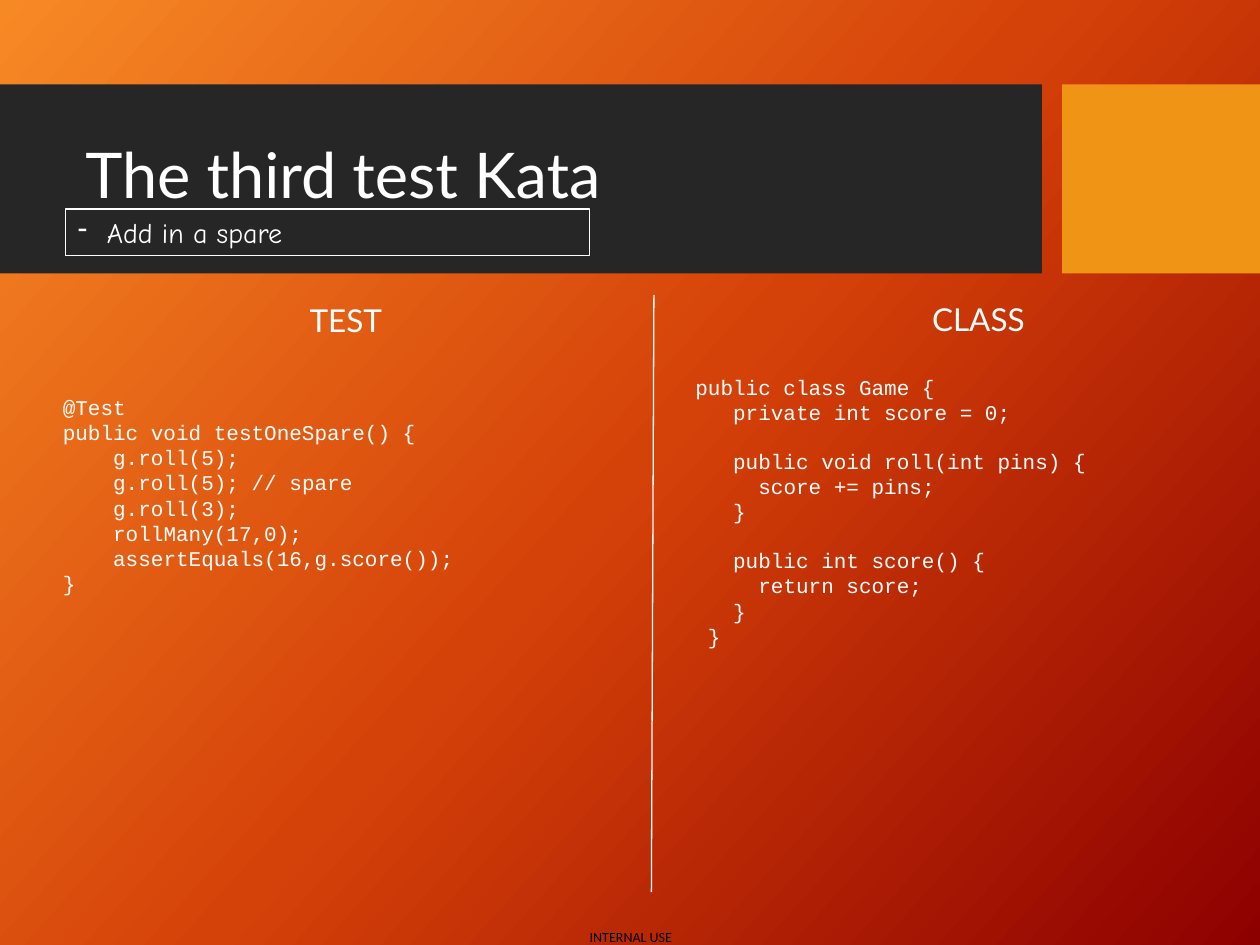
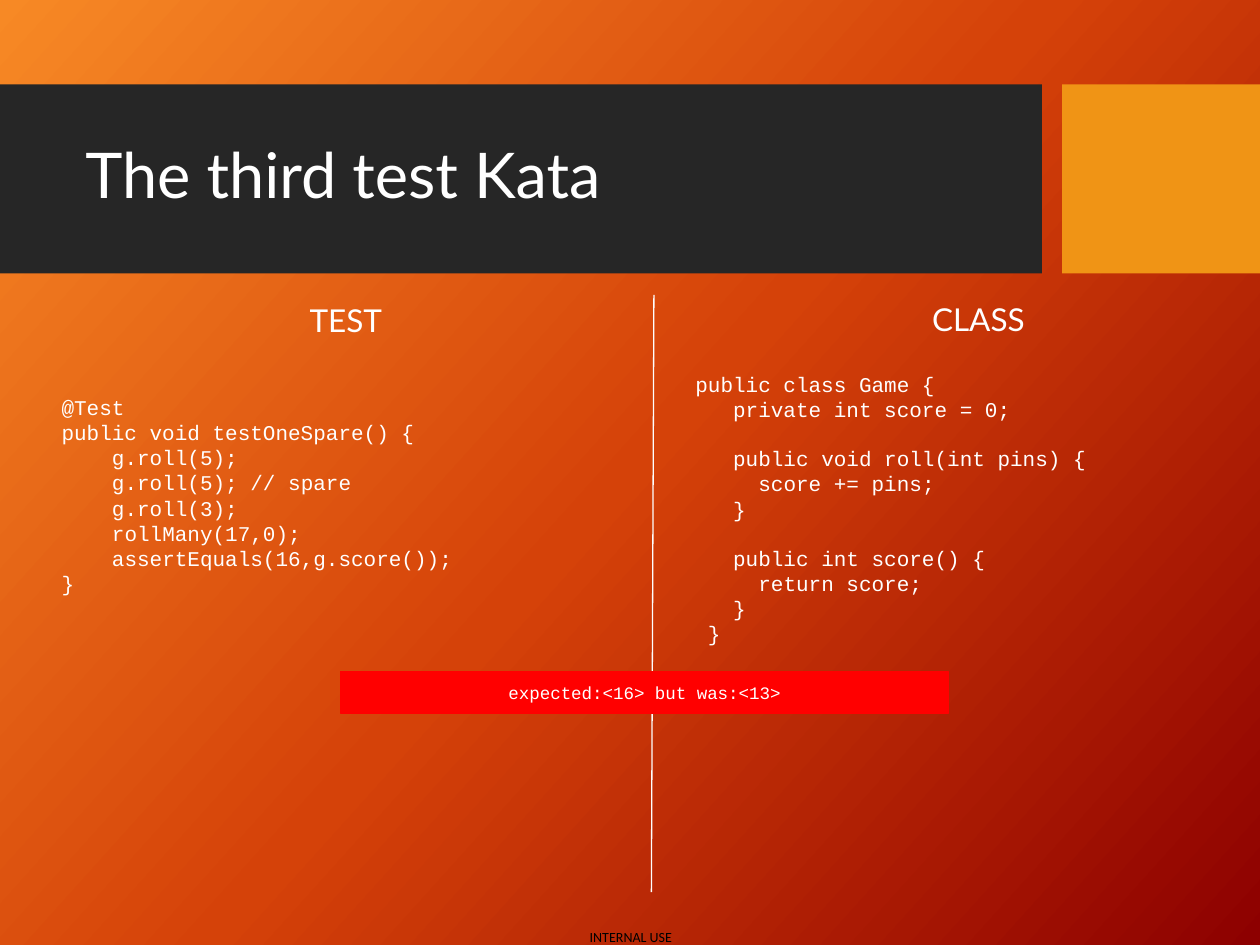
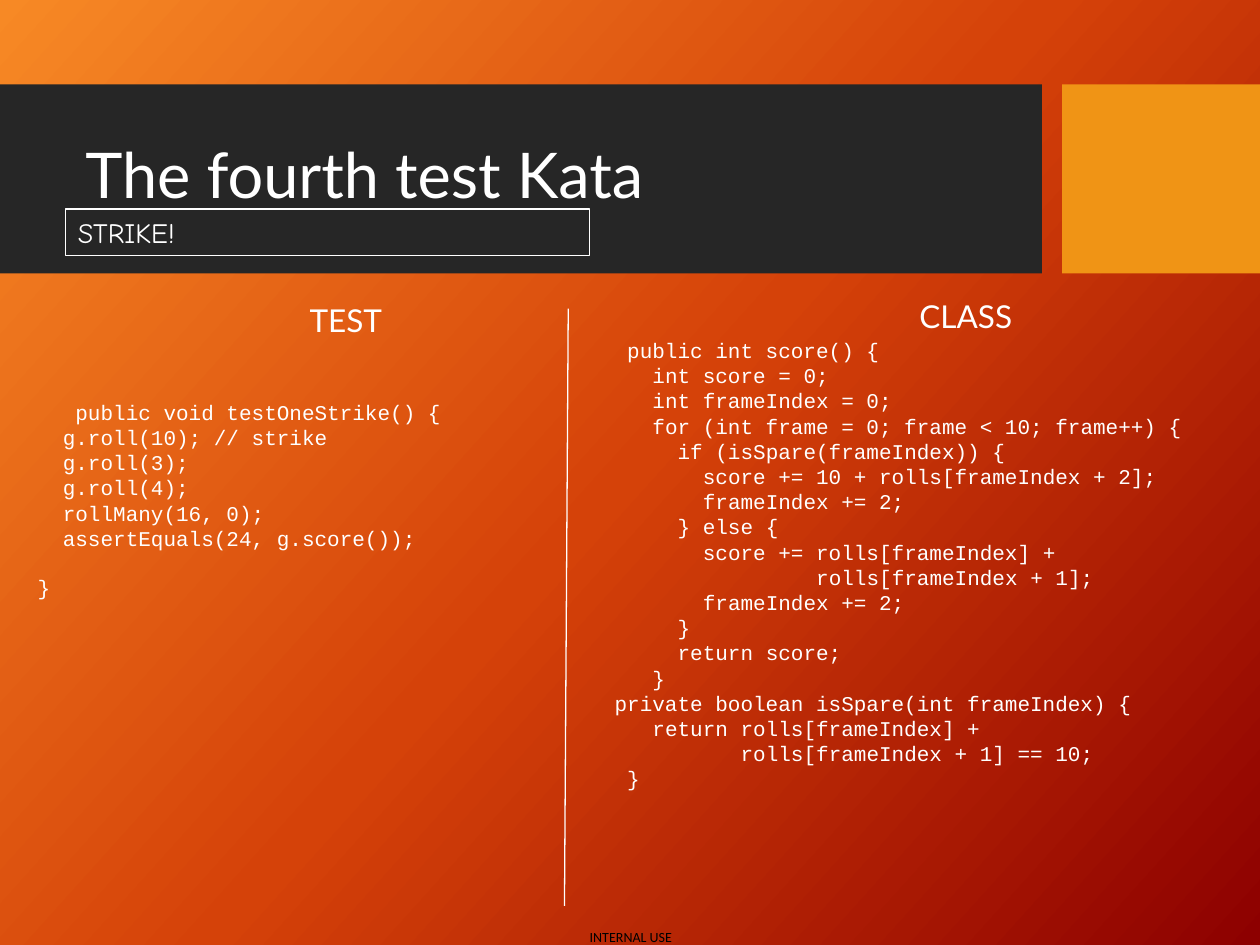
from copy import deepcopy
from dataclasses import dataclass

from lxml.etree import SubElement
from pptx import Presentation
from pptx.dml.color import RGBColor
from pptx.enum.shapes import MSO_CONNECTOR, MSO_SHAPE
from pptx.enum.text import MSO_ANCHOR, MSO_AUTO_SIZE, PP_ALIGN
from pptx.oxml.ns import qn
from pptx.util import Inches, Pt


@dataclass(frozen=True)
class Theme:
    """Colours, fonts and type sizes of the deck."""
    white: str = "FFFFFF"
    black: str = "000000"
    band: str = "262626"
    accent: str = "F09415"
    failure: str = "FF0000"
    gradient: tuple = ((0, "F78925"), (0.5, "D54209"), (1, "8D0000"))
    gradient_angle: float = 42
    heading_font: str = "Lato"
    code_font: str = "Courier New"
    note_font: str = "Comic Neue"
    footer_font: str = "Calibri"
    title_size: float = 36
    heading_size: float = 18
    note_size: float = 16
    code_size: float = 12
    failure_size: float = 10
    footer_size: float = 8
    code_line: float = 13.6  # height of one code line, in points
    code_column: float = 0.1  # width of one code character, in inches
    rule: float = 0.75


@dataclass(frozen=True)
class Box:
    """A rectangle in inches."""
    left: float
    top: float
    width: float
    height: float

    def inner(self, left, top, width, height):
        """Return a box placed relative to this one."""
        return Box(self.left + left, self.top + top, width, height)

    def lengths(self):
        """Return left, top, width and height as lengths."""
        return [Inches(v) for v in (self.left, self.top, self.width, self.height)]


THEME = Theme()
SLIDE = Box(0, 0, 10, 7.5)
HEADER = Box(0, 0.67, 10, 1.5)
FOOTER = Box(4.68, 7.37, 0.67, 0.13)
HEADING_WIDTH, HEADING_HEIGHT = 2.33, 0.4

SPARE_TEST = """\
    @Test
    public void testOneSpare() {
        g.roll(5);
        g.roll(5); // spare
        g.roll(3);
        rollMany(17,0);
        assertEquals(16,g.score());
    }"""

GAME_CLASS = """\
 public class Game {
    private int score = 0;

    public void roll(int pins) {
      score += pins;
    }

    public int score() {
      return score;
    }
  }"""

STRIKE_TEST = """\
     public void testOneStrike() {
    g.roll(10); // strike
    g.roll(3);
    g.roll(4);
    rollMany(16, 0);
    assertEquals(24, g.score());

  }"""

SCORE_METHODS = """\
  public int score() {
    int score = 0;
    int frameIndex = 0;
    for (int frame = 0; frame < 10; frame++) {
      if (isSpare(frameIndex)) {
        score += 10 + rolls[frameIndex + 2];
        frameIndex += 2;
      } else {
        score += rolls[frameIndex] +
                 rolls[frameIndex + 1];
        frameIndex += 2;
      }
      return score;
    }
 private boolean isSpare(int frameIndex) {
    return rolls[frameIndex] +
           rolls[frameIndex + 1] == 10;
  }"""


def colour(code):
    """Turn a hex code into a colour."""
    return RGBColor.from_string(code)


def write(para, text, *, font, size, color=THEME.white, align=PP_ALIGN.LEFT,
          spacing=None, before=0, indent=0, bullet=None):
    """Write formatted text into a paragraph; indent is in inches."""
    para.alignment = align
    para.line_spacing = spacing
    para.space_before = Pt(before)
    properties = para._p.get_or_add_pPr()
    if indent:
        properties.set("marL", str(Inches(indent)))
    if bullet:
        properties.set("indent", str(-Inches(indent)))
        SubElement(properties, qn("a:buChar")).set("char", bullet)
    span = para.add_run()
    span.text = text
    span.font.name = font
    span.font.size = Pt(size)
    span.font.color.rgb = colour(color)


def prepare_frame(shape, anchor=MSO_ANCHOR.TOP, grow=False):
    """Set wrapping, anchor and fit of a shape's text and return its frame."""
    frame = shape.text_frame
    frame.word_wrap = True
    frame.vertical_anchor = anchor
    frame.auto_size = MSO_AUTO_SIZE.SHAPE_TO_FIT_TEXT if grow else MSO_AUTO_SIZE.NONE
    return frame


def add_text(page, box, text, *, anchor=MSO_ANCHOR.TOP, grow=True, **style):
    """Add a text box holding one paragraph and return its frame."""
    frame = prepare_frame(page.shapes.add_textbox(*box.lengths()), anchor, grow)
    write(frame.paragraphs[0], text, **style)
    return frame


def add_panel(page, box, fill=None, line=None):
    """Add a plain rectangle with an optional fill and outline."""
    panel = page.shapes.add_shape(MSO_SHAPE.RECTANGLE, *box.lengths())
    panel.shadow.inherit = False
    if fill:
        panel.fill.solid()
        panel.fill.fore_color.rgb = colour(fill)
    else:
        panel.fill.background()
    if line:
        panel.line.color.rgb = colour(line)
        panel.line.width = Pt(THEME.rule)
    else:
        panel.line.fill.background()
    return panel


def set_background(master):
    """Give the master the diagonal three-colour gradient."""
    fill = master.background.fill
    fill.gradient()
    fill.gradient_angle = 360 - THEME.gradient_angle
    stops = master.element.find(".//" + qn("a:gsLst"))
    stops.insert(1, deepcopy(stops[0]))
    for stop, (position, code) in zip(fill.gradient_stops, THEME.gradient):
        stop.position = position
        stop.color.rgb = colour(code)


def add_header(page, box, title):
    """Draw the dark band, the accent block and the title."""
    band_width, gap = 8.27, 0.16
    accent_left = band_width + gap
    add_panel(page, box.inner(0, 0, band_width, box.height), THEME.band)
    add_panel(page, box.inner(accent_left, 0, box.width - accent_left, box.height),
              THEME.accent)
    add_text(page, box.inner(0.58, 0.15, 7.54, 1.18), title, anchor=MSO_ANCHOR.MIDDLE,
             grow=False, font=THEME.heading_font, size=THEME.title_size, spacing=0.9)


def add_note(page, box, text, **style):
    """Draw the outlined note under the title of the header box."""
    panel = add_panel(page, box.inner(0.52, 0.99, 4.16, 0.37), line=THEME.white)
    write(prepare_frame(panel, grow=True).paragraphs[0], text,
          font=THEME.note_font, size=THEME.note_size, **style)


def add_footer(page, box):
    """Write the classification line at the foot."""
    frame = add_text(page, box, "INTERNAL USE", font=THEME.footer_font,
                     size=THEME.footer_size, color=THEME.black)
    frame.word_wrap = False
    frame.margin_left = frame.margin_right = frame.margin_top = frame.margin_bottom = 0


def add_heading(page, left, top, text):
    """Write a centred column heading."""
    add_text(page, Box(left, top, HEADING_WIDTH, HEADING_HEIGHT), text,
             font=THEME.heading_font, size=THEME.heading_size, align=PP_ALIGN.CENTER)


def add_code(page, box, source):
    """Write code, turning leading spaces into indents and blank lines into gaps."""
    frame = prepare_frame(page.shapes.add_textbox(*box.lengths()), grow=True)
    para, gap = frame.paragraphs[0], 0
    for line in source.splitlines():
        code = line.lstrip()
        if not code:
            gap += THEME.code_line
            continue
        if para is None:
            para = frame.add_paragraph()
        write(para, code, font=THEME.code_font, size=THEME.code_size, before=gap,
              indent=(len(line) - len(code)) * THEME.code_column)
        para, gap = None, 0


def add_divider(page, box):
    """Draw the slightly slanted line between the columns."""
    left, top, width, height = box.lengths()
    divider = page.shapes.add_connector(MSO_CONNECTOR.STRAIGHT,
                                        left + width, top, left, top + height)
    divider.line.color.rgb = colour(THEME.white)
    divider.line.width = Pt(THEME.rule)
    SubElement(divider._element.spPr, qn("a:effectLst"))


def add_failure(page, box, text):
    """Draw the red bar with the failed assertion."""
    panel = add_panel(page, box, THEME.failure, THEME.failure)
    write(prepare_frame(panel, MSO_ANCHOR.MIDDLE).paragraphs[0], text,
          font=THEME.code_font, size=THEME.failure_size, align=PP_ALIGN.CENTER)


def add_kata_page(deck, title, *, test, test_box, code, code_box, divider,
                  class_heading=(6.6, 2.33)):
    """Add a slide with a test on the left and a class on the right."""
    page = deck.slides.add_slide(deck.slide_layouts[6])
    add_footer(page, FOOTER)
    add_header(page, HEADER, title)
    add_divider(page, divider)
    add_heading(page, 1.58, 2.34, "TEST")
    add_heading(page, *class_heading, "CLASS")
    add_code(page, test_box, test)
    add_code(page, code_box, code)
    return page


def main():
    """Build and save the deck."""
    deck = Presentation()
    deck.slide_width, deck.slide_height = SLIDE.lengths()[2:]
    set_background(deck.slide_master)

    spare = dict(test=SPARE_TEST, code=GAME_CLASS, divider=Box(5.17, 2.34, 0.02, 4.74))
    page = add_kata_page(deck, "The third test Kata", **spare,
                         test_box=Box(0, 3.08, 3.76, 1.72),
                         code_box=Box(5.32, 2.92, 4.42, 2.32))
    add_note(page, HEADER, "Add in a spare", bullet="-", indent=0.23)

    page = add_kata_page(deck, "The third test Kata", **spare,
                         test_box=Box(-0.01, 3.08, 4.7, 1.92),
                         code_box=Box(5.32, 2.9, 4.42, 2.32))
    add_failure(page, Box(2.7, 5.33, 4.83, 0.33), "expected:<16> but was:<13>")

    page = add_kata_page(deck, "The fourth test Kata", test=STRIKE_TEST,
                         test_box=Box(0, 3.12, 4.51, 1.72), code=SCORE_METHODS,
                         code_box=Box(4.68, 2.63, 4.9, 3.91),
                         divider=Box(4.48, 2.45, 0.03, 4.74), class_heading=(6.5, 2.31))
    add_note(page, HEADER, "STRIKE!")

    deck.save("out.pptx")


main()
